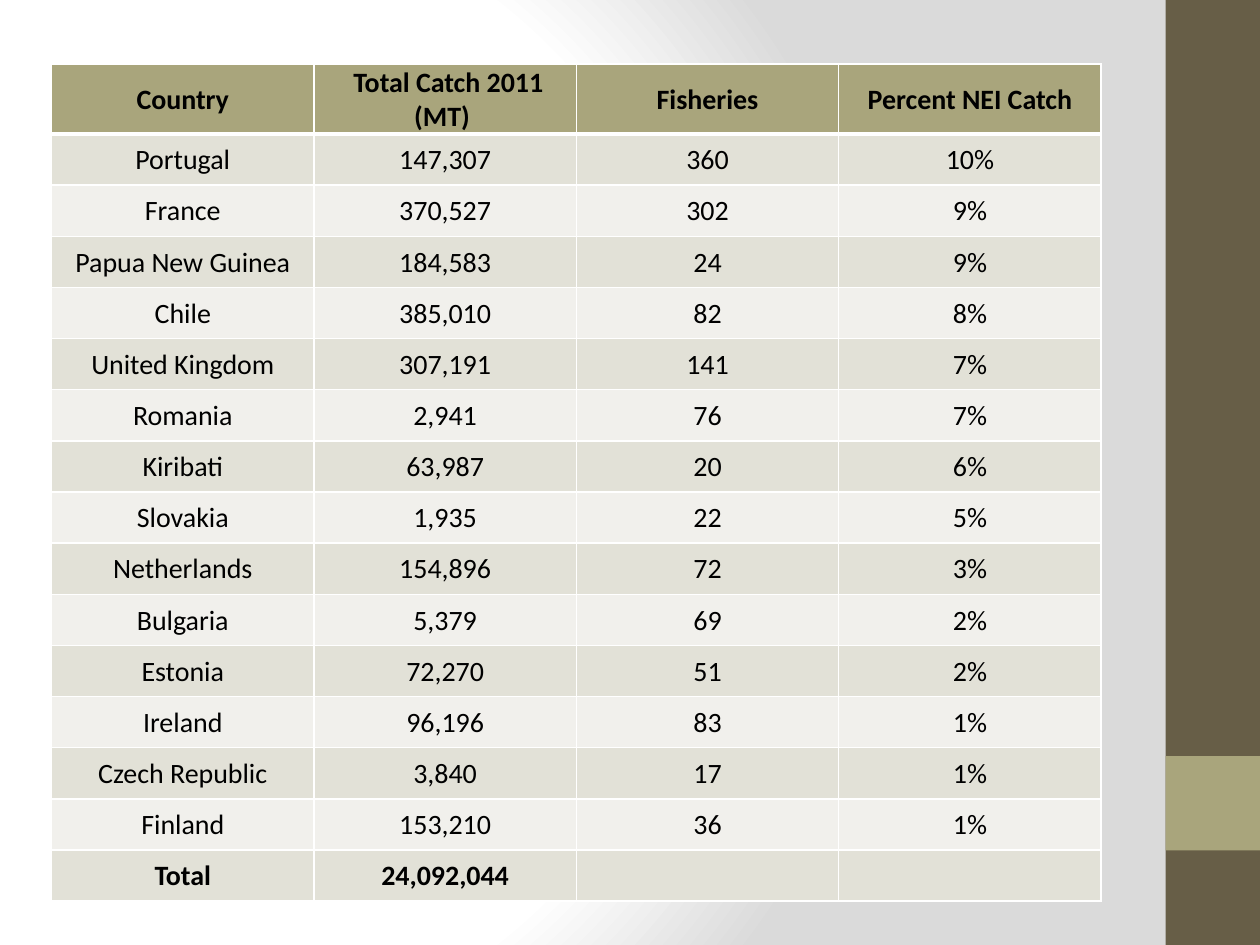
from lxml import etree
from pptx import Presentation
from pptx.dml.color import RGBColor
from pptx.enum.shapes import MSO_SHAPE
from pptx.enum.text import MSO_ANCHOR, PP_ALIGN
from pptx.oxml import parse_xml
from pptx.oxml.ns import nsdecls, qn
from pptx.util import Inches, Pt

RECT = MSO_SHAPE.RECTANGLE
MIDDLE = MSO_ANCHOR.MIDDLE
CENTER = PP_ALIGN.CENTER

BLACK = RGBColor(0x00, 0x00, 0x00)
WHITE = RGBColor(0xFF, 0xFF, 0xFF)
GREY = RGBColor(0xDA, 0xDA, 0xDA)
BROWN = RGBColor(0x67, 0x5E, 0x47)
OLIVE = RGBColor(0xA9, 0xA5, 0x7C)
BAND_DARK = RGBColor(0xE2, 0xE1, 0xD7)
BAND_LIGHT = RGBColor(0xF1, 0xF0, 0xEC)

FONT = "Calibri"
HEADER_H = 0.54

HEADER = ["Country", " Total Catch 2011\n(MT) ", "Fisheries", "Percent NEI Catch"]
CATCHES = [
    ("Portugal", 147307, 360, 10),
    ("France", 370527, 302, 9),
    ("Papua New Guinea", 184583, 24, 9),
    ("Chile", 385010, 82, 8),
    ("United Kingdom", 307191, 141, 7),
    ("Romania", 2941, 76, 7),
    ("Kiribati", 63987, 20, 6),
    ("Slovakia", 1935, 22, 5),
    ("Netherlands", 154896, 72, 3),
    ("Bulgaria", 5379, 69, 2),
    ("Estonia", 72270, 51, 2),
    ("Ireland", 96196, 83, 1),
    ("Czech Republic", 3840, 17, 1),
    ("Finland", 153210, 36, 1),
]
TOTAL = ["Total", " 24,092,044 ", "", ""]


def set_background(s):
    s.background.fill.gradient()
    grad = s.element.find(".//" + qn("a:gradFill"))
    stops = "".join(
        f'<a:gs pos="{pos * 1000}"><a:srgbClr val="{color}"/></a:gs>'
        for pos, color in [(0, WHITE), (75, WHITE), (100, GREY)])
    grad.getparent().replace(grad, parse_xml(
        f'<a:gradFill {nsdecls("a")} rotWithShape="1"><a:gsLst>{stops}</a:gsLst>'
        '<a:path path="circle"><a:fillToRect l="20000" t="50000" r="100000" b="50000"/>'
        '</a:path></a:gradFill>'))


def add_block(s, x, y, w, h, color):
    sp = s.shapes.add_shape(RECT, Inches(x), Inches(y), Inches(w), Inches(h))
    sp.shadow.inherit = False
    sp.fill.solid()
    sp.fill.fore_color.rgb = color
    sp.line.fill.background()


def add_sidebar(s, x, y, w, h):
    add_block(s, x, y, w, h, BROWN)
    add_block(s, x, y + 0.8 * h, w, w, OLIVE)


def set_borders(cell, top, bottom):
    tcPr = cell._tc.get_or_add_tcPr()
    for i, (side, width) in enumerate([("L", 1), ("R", 1), ("T", top), ("B", bottom)]):
        ln = etree.Element(qn(f"a:ln{side}"), w=str(Pt(width)))
        fill = etree.SubElement(ln, qn("a:solidFill"))
        etree.SubElement(fill, qn("a:srgbClr"), val=str(WHITE))
        tcPr.insert(i, ln)


def format_cell(cell, text, fill, bold):
    cell.margin_left = cell.margin_right = cell.margin_top = Inches(0.01)
    cell.margin_bottom = 0
    cell.vertical_anchor = MIDDLE
    cell.fill.solid()
    cell.fill.fore_color.rgb = fill
    cell.text_frame.text = text
    for p in cell.text_frame.paragraphs:
        p.alignment = CENTER
        for r in p.runs:
            r.font.name = FONT
            r.font.size = Pt(16)
            r.font.bold = bold
            r.font.color.rgb = BLACK


def add_catch_table(s, x, y, w, h):
    body = [[name, f" {catch:,} ", str(fisheries), f"{share}%"]
            for name, catch, fisheries, share in CATCHES]
    rows = [HEADER, *body, TOTAL]
    last = len(rows) - 1
    tbl = s.shapes.add_table(len(rows), len(HEADER), Inches(x), Inches(y),
                             Inches(w), Inches(h)).table
    for col in tbl.columns:
        col.width = Inches(w / len(HEADER))
    for i, values in enumerate(rows):
        tbl.rows[i].height = Inches((h - HEADER_H) / last if i else HEADER_H)
        fill = (BAND_DARK if i % 2 else BAND_LIGHT) if i else OLIVE
        for j, text in enumerate(values):
            cell = tbl.cell(i, j)
            format_cell(cell, text, fill, i in (0, last))
            set_borders(cell, 3 if i == 1 else 1, 3 if i == 0 else 1)


prs = Presentation()
prs.slide_width, prs.slide_height = Inches(10), Inches(7.5)
s = prs.slides.add_slide(prs.slide_layouts[6])
set_background(s)
add_sidebar(s, 9.25, 0, 0.75, 7.5)
add_catch_table(s, 0.41, 0.51, 8.33, 6.63)
prs.save("out.pptx")
